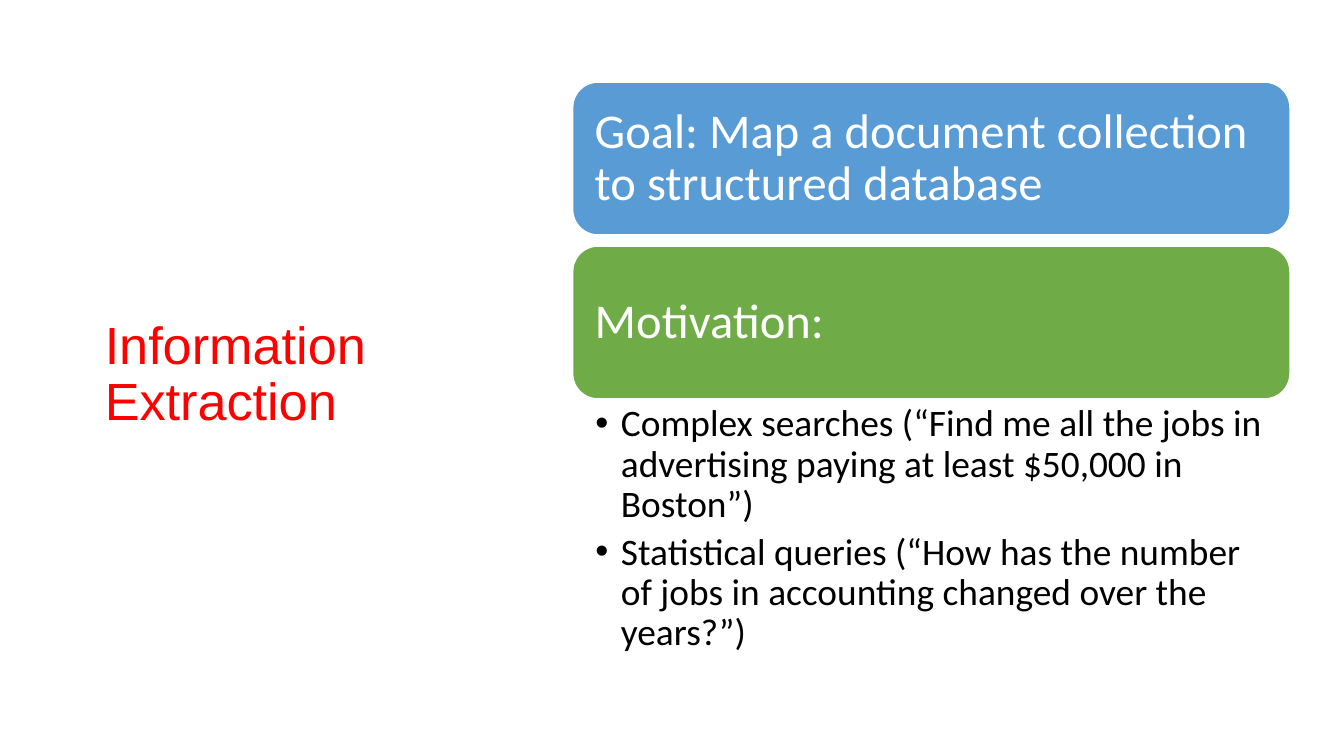
from lxml.etree import SubElement
from pptx import Presentation
from pptx.dml.color import RGBColor
from pptx.enum.shapes import MSO_SHAPE as Shape
from pptx.enum.text import MSO_ANCHOR as Anchor, PP_ALIGN as Align
from pptx.oxml.ns import qn
from pptx.util import Inches, Pt

WIDTH = 10
HEIGHT = WIDTH * 9 / 16
COLUMN_LEFT, COLUMN_WIDTH = 4.26, 5.34
CARD_TOP, CARD_HEIGHT, CARD_STEP = 0.61, 1.14, 1.22
CARDS = [
    ("Goal: Map a document collection to structured database", "599BD5"),
    ("Motivation:", "6FAB46"),
]
REASONS = [
    "Complex searches (“Find me all the jobs in advertising paying at least $50,000 in Boston”)",
    "Statistical queries (“How has the number of jobs in accounting changed over the years?”)",
]


def color(value):
    return RGBColor.from_string(value)


def set_frame(frame, insets, anchor):
    """Wrap the text and set its left, top, right and bottom insets."""
    frame.word_wrap = True
    frame.vertical_anchor = anchor
    (frame.margin_left, frame.margin_top,
     frame.margin_right, frame.margin_bottom) = map(Inches, insets)


def add_span(para, text, size, font, tint):
    para.alignment = Align.LEFT
    para.line_spacing = 0.9
    span = para.add_run()
    span.text = text
    span.font.size = Pt(size)
    span.font.name = font
    span.font.color.rgb = color(tint)


def set_bullet(para, indent):
    """Give the paragraph a black round bullet with a hanging indent."""
    props = para._p.get_or_add_pPr()
    props.set("marL", str(Inches(indent)))
    props.set("indent", str(-Inches(indent)))
    tint = SubElement(props, qn("a:buClr"))
    SubElement(tint, qn("a:srgbClr"), val="000000")
    SubElement(props, qn("a:buFont"), typeface="Arial")
    SubElement(props, qn("a:buChar"), char="•")


def add_box(page, *place):
    return page.shapes.add_textbox(*map(Inches, place)).text_frame


def add_title(page, text):
    frame = add_box(page, 0.71, 0.83, 2.8, 3.93)
    set_frame(frame, (0.07, 0.04, 0.07, 0.04), Anchor.MIDDLE)
    add_span(frame.paragraphs[0], text, 28, "Arial", "FF0000")


def add_card(page, row, text, fill):
    place = COLUMN_LEFT, CARD_TOP + row * CARD_STEP, COLUMN_WIDTH, CARD_HEIGHT
    card = page.shapes.add_shape(Shape.ROUNDED_RECTANGLE, *map(Inches, place))
    card.shadow.inherit = False
    card.fill.solid()
    card.fill.fore_color.rgb = color(fill)
    card.line.color.rgb = color("FFFFFF")
    card.line.width = Pt(1)
    set_frame(card.text_frame, (0.11,) * 4, Anchor.MIDDLE)
    add_span(card.text_frame.paragraphs[0], text, 26, "Calibri", "FFFFFF")


def add_reasons(page, reasons):
    top = CARD_TOP + CARD_STEP + CARD_HEIGHT
    frame = add_box(page, COLUMN_LEFT, top, COLUMN_WIDTH, 2.02)
    set_frame(frame, (0.17, 0.04, 0.2, 0.04), Anchor.TOP)
    for index, reason in enumerate(reasons):
        para = frame.add_paragraph() if index else frame.paragraphs[0]
        add_span(para, reason, 20, "Calibri", "000000")
        para.space_before = Pt(4 if index else 0)
        set_bullet(para, 0.19)


def main():
    deck = Presentation()
    deck.slide_width, deck.slide_height = Inches(WIDTH), Inches(HEIGHT)
    page = deck.slides.add_slide(deck.slide_layouts[6])
    add_title(page, "Information Extraction")
    for row, (text, fill) in enumerate(CARDS):
        add_card(page, row, text, fill)
    add_reasons(page, REASONS)
    deck.save("out.pptx")


if __name__ == "__main__":
    main()
